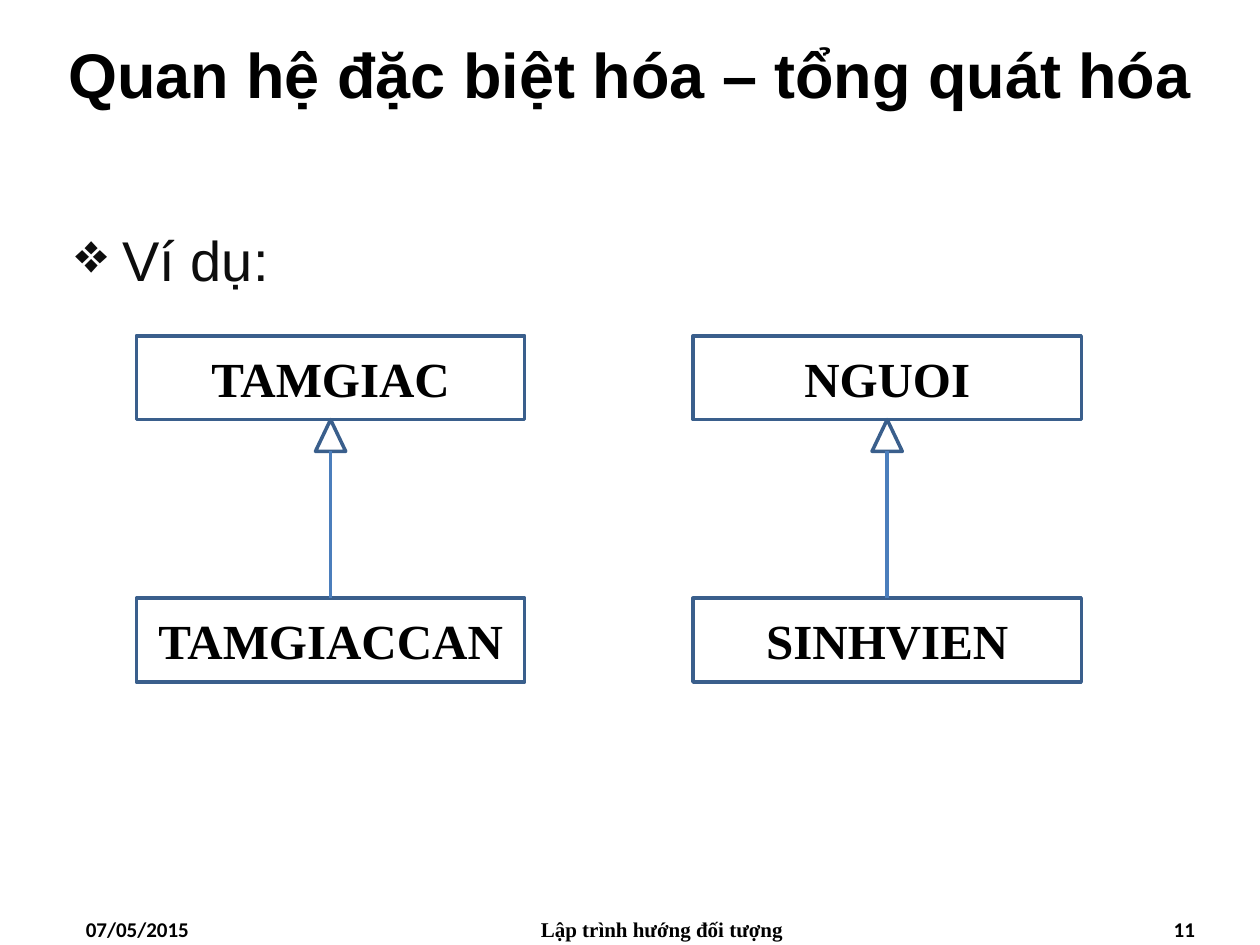
from lxml import etree
from pptx import Presentation
from pptx.dml.color import RGBColor
from pptx.enum.shapes import MSO_CONNECTOR, MSO_SHAPE
from pptx.enum.text import MSO_ANCHOR, PP_ALIGN
from pptx.oxml.ns import qn
from pptx.util import Cm, Pt

RECT, TRIANGLE = MSO_SHAPE.RECTANGLE, MSO_SHAPE.ISOSCELES_TRIANGLE
STRAIGHT = MSO_CONNECTOR.STRAIGHT
LEFT, CENTER, RIGHT, JUSTIFY = (
    PP_ALIGN.LEFT, PP_ALIGN.CENTER, PP_ALIGN.RIGHT, PP_ALIGN.JUSTIFY)
TOP, MIDDLE = MSO_ANCHOR.TOP, MSO_ANCHOR.MIDDLE
BLACK = RGBColor(0x00, 0x00, 0x00)
DARK = RGBColor(0x0D, 0x0D, 0x0D)
OUTLINE = RGBColor(0x3A, 0x5F, 0x8C)
ARROW = RGBColor(0x4B, 0x7E, 0xBC)

TITLE = "Quan hệ đặc biệt hóa – tổng quát hóa"
BODY = "Ví dụ:"
FOOTERS = [
    ("07/05/2015", 1.48, 5.92, LEFT, "Calibri"),
    ("Lập trình hướng đối tượng", 9.32, 8.05, CENTER, "Times New Roman"),
    ("11", 18.42, 5.92, RIGHT, "Calibri"),
]
HIERARCHIES = [("TAMGIAC", "TAMGIACCAN"), ("NGUOI", "SINHVIEN")]

TITLE_FONT = {"name": "Arial", "size": Pt(36), "bold": True}
BODY_FONT = {"name": "Arial", "size": Pt(32)}
CLASS_FONT = {"name": "Times New Roman", "size": Pt(28), "bold": True}

FIRST_X, STEP_X = 2.75, 11.22
PARENT_Y, CHILD_Y = 6.77, 12.06
BOX_W, BOX_H = 7.83, 1.69
HEAD_W, HEAD_H = 0.61, 0.64


def write(sp, text, font, align, anchor=MIDDLE, color=BLACK):
    tf = sp.text_frame
    tf.word_wrap, tf.vertical_anchor = True, anchor
    p = tf.paragraphs[0]
    p.alignment = align
    r = p.add_run()
    r.text = text
    for key, value in font.items():
        setattr(r.font, key, value)
    r.font.color.rgb = color
    return p


def outlined(shapes, kind, x, y, w, h):
    sp = shapes.add_shape(kind, Cm(x), Cm(y), Cm(w), Cm(h))
    sp.shadow.inherit = False
    sp.fill.background()
    sp.line.color.rgb, sp.line.width = OUTLINE, Pt(2)
    return sp


def add_hierarchy(s, x, parent, child):
    shapes = s.shapes.add_group_shape().shapes
    for name, y in ((parent, PARENT_Y), (child, CHILD_Y)):
        box = outlined(shapes, RECT, x, y, BOX_W, BOX_H)
        write(box, name, CLASS_FONT, CENTER)
    mid, head_y = x + BOX_W / 2, PARENT_Y + BOX_H
    outlined(shapes, TRIANGLE, mid - HEAD_W / 2, head_y, HEAD_W, HEAD_H)
    line = shapes.add_connector(
        STRAIGHT, Cm(mid), Cm(CHILD_Y), Cm(mid), Cm(head_y + HEAD_H))
    line.begin_connect(box, 0)
    line.line.color.rgb, line.line.width = ARROW, Pt(2)
    etree.SubElement(line._element.spPr, qn("a:effectLst"))


def main():
    prs = Presentation()
    prs.slide_width, prs.slide_height = Cm(25.4), Cm(19.05)
    s = prs.slides.add_slide(prs.slide_layouts[5])

    title = s.shapes.title
    title.left, title.top, title.width, title.height = Cm(0), Cm(0), Cm(25.4), Cm(2.97)
    write(title, TITLE, TITLE_FONT, CENTER)

    body = s.shapes.add_textbox(Cm(1.27), Cm(4.01), Cm(23.29), Cm(13.69))
    p = write(body, BODY, BODY_FONT, JUSTIFY, TOP, DARK)
    p.line_spacing, p.space_after = 1.3, Pt(3)
    pPr = p._p.get_or_add_pPr()
    pPr.set("marL", str(Cm(0.95)))
    pPr.set("indent", str(-Cm(0.95)))
    etree.SubElement(pPr, qn("a:buChar"), char="❖")

    for text, x, w, align, face in FOOTERS:
        sp = s.shapes.add_textbox(Cm(x), Cm(18.42), Cm(w), Cm(0.63))
        write(sp, text, {"name": face, "size": Pt(12), "bold": True}, align)

    for i, (parent, child) in enumerate(HIERARCHIES):
        add_hierarchy(s, FIRST_X + i * STEP_X, parent, child)

    prs.save("out.pptx")


if __name__ == "__main__":
    main()
